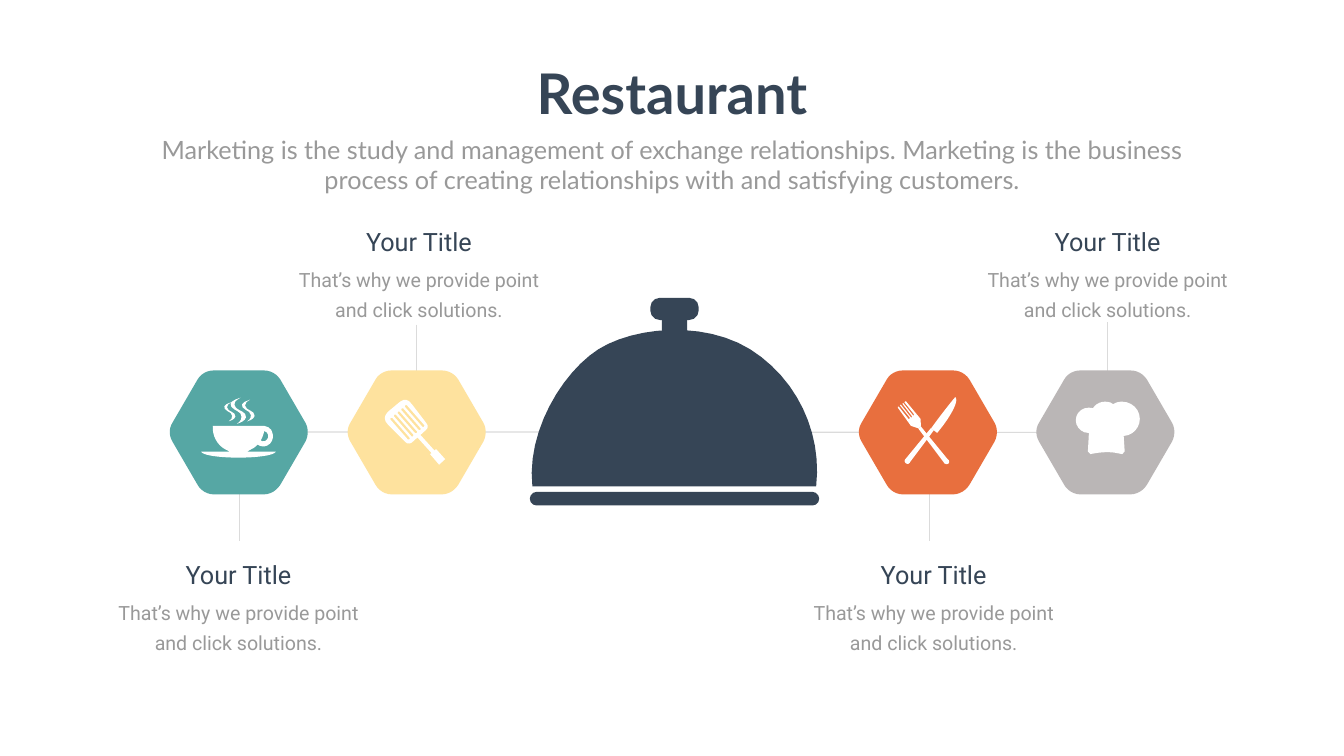
import pptx
import pptx.dml.color
import pptx.enum.shapes
import pptx.enum.text
import pptx.oxml.ns
import pptx.util
from lxml import etree

PX = 9144  # one px is a hundredth of an inch
HUES = {"navy": "364556", "gray": "999999", "rule": "DBDBDB", "white": "FFFFFF",
        "teal": "56A7A4", "sand": "FEE29E", "rust": "E86F3E", "stone": "BAB6B6"}
KIND = pptx.enum.shapes.MSO_SHAPE
FIT = pptx.enum.text.MSO_AUTO_SIZE.SHAPE_TO_FIT_TEXT

deck = pptx.Presentation()
deck.slide_width, deck.slide_height = 2666 * PX, 1500 * PX
slide = deck.slides.add_slide(deck.slide_layouts[6])
shapes = slide.shapes


def paint(shape, hue):
    shape.shadow.inherit = False
    shape.fill.solid()
    shape.fill.fore_color.rgb = pptx.dml.color.RGBColor.from_string(HUES[hue])
    shape.line.fill.background()


def trace(paths, hue, left=0):
    """Fill closed paths; a pair is a line end, a six-tuple a Bezier curve."""
    pen = None
    for path in paths:
        dots = [path[0]]
        for step in path[1:]:
            if len(step) == 2:
                dots.append(step)
                continue
            x, y = dots[-1]
            a, b, c, d, e, f = step
            count = min(12, 1 + int(max(abs(e - x), abs(f - y)) / 6))
            for i in range(1, count + 1):
                t = i / count
                u = 1 - t
                dots.append((u**3 * x + 3 * u * u * t * a + 3 * u * t * t * c + t**3 * e,
                             u**3 * y + 3 * u * u * t * b + 3 * u * t * t * d + t**3 * f))
        dots = [(round((x + left) * PX), round(y * PX)) for x, y in dots]
        if pen is None:
            pen = shapes.build_freeform(*dots[0], scale=1.0)
        else:
            pen.move_to(*dots[0])
        pen.add_line_segments(dots[1:], close=True)
    paint(pen.convert_to_shape(), hue)


# Hexagon left, hue, rule x, rule top, rule end, text middle, text top, body width
items = [
    (335, "teal", 474, 981, 1073, 473, 1104, 534),
    (688, "sand", 826, 644, 755, 831, 444, 514),
    (1702, "rust", 1844, 981, 1073, 1852, 1104, 534),
    (2054, "stone", 2197, 639, 750, 2197, 444, 514),
]

# Rules
rules = [(474, 857, 2193, 858, 1.7)]
rules += [(x, top, x, end, 0.96) for _, _, x, top, end, *_ in items]
for x, y, right, low, width in rules:
    rule = shapes.add_connector(pptx.enum.shapes.MSO_CONNECTOR.STRAIGHT,
                                x * PX, y * PX, right * PX, low * PX)
    rule.line.color.rgb = pptx.dml.color.RGBColor.from_string(HUES["rule"])
    rule.line.width = pptx.util.Pt(width)
    etree.SubElement(rule._element.spPr, pptx.oxml.ns.qn("a:effectLst"))

# Hexagons
hexagon = [(188, 735), (89, 735), (76, 735, 63, 742, 57, 753), (7, 839),
           (0, 850, 0, 864, 7, 876), (57, 962), (63, 973, 76, 981, 89, 981),
           (188, 981), (202, 981, 214, 973, 221, 962), (271, 876),
           (277, 864, 277, 850, 271, 839), (221, 753), (214, 742, 202, 735, 188, 735)]
for left, hue, *_ in items:
    trace([hexagon], hue, left)

# Dish cover, then the straight parts of fork and knife
parts = [
    (KIND.RECTANGLE, 1100, 714, 449, 293, 0, None, "white"),
    (KIND.ROUNDED_RECTANGLE, 1051, 976, 574, 27, 0, 0.5, "navy"),
    (KIND.ROUNDED_RECTANGLE, 1290, 591, 96, 44, 0, 0.43, "navy"),
    (KIND.RECTANGLE, 1313, 620, 50, 57, 0, None, "navy"),
    (KIND.TRAPEZOID, 1846, 839, 10, 87, 321.9, 0.17, "white"),
    (KIND.OVAL, 1873, 911, 10, 10, 321.9, None, "white"),
    (KIND.TRAPEZOID, 1819, 843, 11, 81, 38.1, 0.17, "white"),
    (KIND.OVAL, 1794, 911, 11, 9, 38.1, None, "white"),
]
for kind, x, y, width, height, turn, bend, hue in parts:
    part = shapes.add_shape(kind, x * PX, y * PX, width * PX, height * PX)
    part.rotation = turn
    if bend is not None:
        part.adjustments[0] = bend
    paint(part, hue)

dome = [(1056, 965), (1044, 857, 1115, 739, 1187, 693), (1259, 648, 1396, 636, 1488, 693),
        (1580, 751, 1631, 857, 1619, 965)]
trace([dome], "navy")

# Cup with three wisps of steam
handle = [(524, 855), (523, 862, 520, 869, 517, 874), (519, 876, 523, 876, 526, 875),
          (530, 873, 533, 868, 532, 863), (531, 859, 528, 856, 524, 855)]
cup = [(524, 845), (533, 846, 540, 852, 541, 861), (543, 870, 539, 880, 530, 884),
       (524, 887, 516, 886, 511, 882), (507, 886, 504, 889, 499, 891),
       (490, 896), (547, 896), (545, 903, 512, 908, 473, 908),
       (434, 908, 401, 903, 399, 896), (456, 896), (446, 891),
       (430, 882, 421, 864, 422, 845)]
wisp = [(0, 0), (-7, 5, -12, 6, -12, 14), (-10, 27, 12, 25, 11, 39), (8, 46, 4, 48, -7, 52),
        (0, 47, 2, 44, 2, 37), (2, 27, -13, 26, -18, 18), (-23, 10, -16, 5, 0, 0)]
steam = []
for x, y, size in [(459, 798, 0.73), (496, 793, 0.83), (477, 789, 1)]:
    steam.append([tuple((x, y)[i % 2] + size * v for i, v in enumerate(step))
                  for step in wisp])
trace([handle, cup] + steam, "white")

# Spatula with five slots
slot = [(0, 0), (-1, 3), (34, 43), (37, 43), (38, 40), (3, 0)]
slots = [[(804 - 7.25 * n + x, 804 + 6.25 * n + y) for x, y in slot] for n in range(5)]
blade = [(772, 815), (790, 800), (798, 793, 807, 788, 817, 802), (846, 840),
         (850, 844, 849, 850, 845, 853), (834, 863), (862, 894), (865, 891), (883, 911),
         (871, 922), (853, 901), (856, 899), (828, 868), (817, 878),
         (813, 881, 807, 881, 804, 877), (770, 843), (758, 831, 764, 822, 772, 815)]
trace(slots + [blade], "white")

# Fork head and knife blade
fork = [(1781, 807), (1783, 807), (1802, 831), (1804, 831), (1805, 829),
        (1785, 804), (1787, 803), (1807, 828), (1809, 828), (1809, 826),
        (1790, 801), (1792, 800), (1811, 824), (1813, 824), (1813, 822),
        (1794, 798), (1797, 796), (1826, 831), (1827, 846), (1822, 850),
        (1807, 845), (1781, 809)]
trace([fork], "white")
knife = [(1847, 850), (1859, 859), (1881, 833, 1904, 796, 1895, 788),
         (1894, 788, 1864, 826, 1847, 850)]
trace([knife], "white")

# Chef hat
hat = [(2261, 831), (2261, 812, 2245, 797, 2226, 797), (2220, 797, 2214, 798, 2208, 802),
       (2204, 798, 2198, 797, 2192, 797), (2182, 797, 2173, 802, 2168, 810),
       (2165, 809, 2162, 809, 2159, 809), (2145, 809, 2134, 820, 2134, 834),
       (2134, 847, 2145, 859, 2159, 859), (2160, 859), (2158, 896),
       (2157, 901, 2158, 902, 2163, 901), (2178, 898, 2194, 896, 2210, 898),
       (2226, 901), (2231, 901, 2232, 901, 2231, 896), (2229, 865),
       (2247, 864, 2261, 849, 2261, 831)]
trace([hat], "white")

# Words: left, top, width, height, text, font, size, hue, bold, spacing, wrap
words = [
    (1043, 112, 580, 145, "Restaurant", "Lato", 80, "navy", True, None, False),
    (292, 261, 2082, 131, "Marketing is the study and management of exchange relationships. "
     "Marketing is the business process of creating relationships with and satisfying "
     "customers.", "Lato", 36, "gray", False, None, True),
]
for *_, mid, top, width in items:
    words.append((mid - 199, top, 398, 64, "Your Title", "Roboto", 36, "navy",
                  False, None, True))
    words.append((mid - width // 2, top + 70, width, 125,
                  "That’s why we provide point and click solutions.", "Roboto", 28, "gray",
                  False, 43, True))
for x, y, width, height, text, font, size, hue, bold, space, wrap in words:
    box = shapes.add_textbox(x * PX, y * PX, width * PX, height * PX)
    frame = box.text_frame
    frame.word_wrap = wrap
    frame.auto_size = FIT
    para = frame.paragraphs[0]
    para.alignment = pptx.enum.text.PP_ALIGN.CENTER
    if space:
        para.line_spacing = pptx.util.Pt(space)
    run = para.add_run()
    run.text = text
    run.font.name = font
    run.font.size = pptx.util.Pt(size)
    run.font.bold = bold
    run.font.color.rgb = pptx.dml.color.RGBColor.from_string(HUES[hue])

deck.save("out.pptx")
